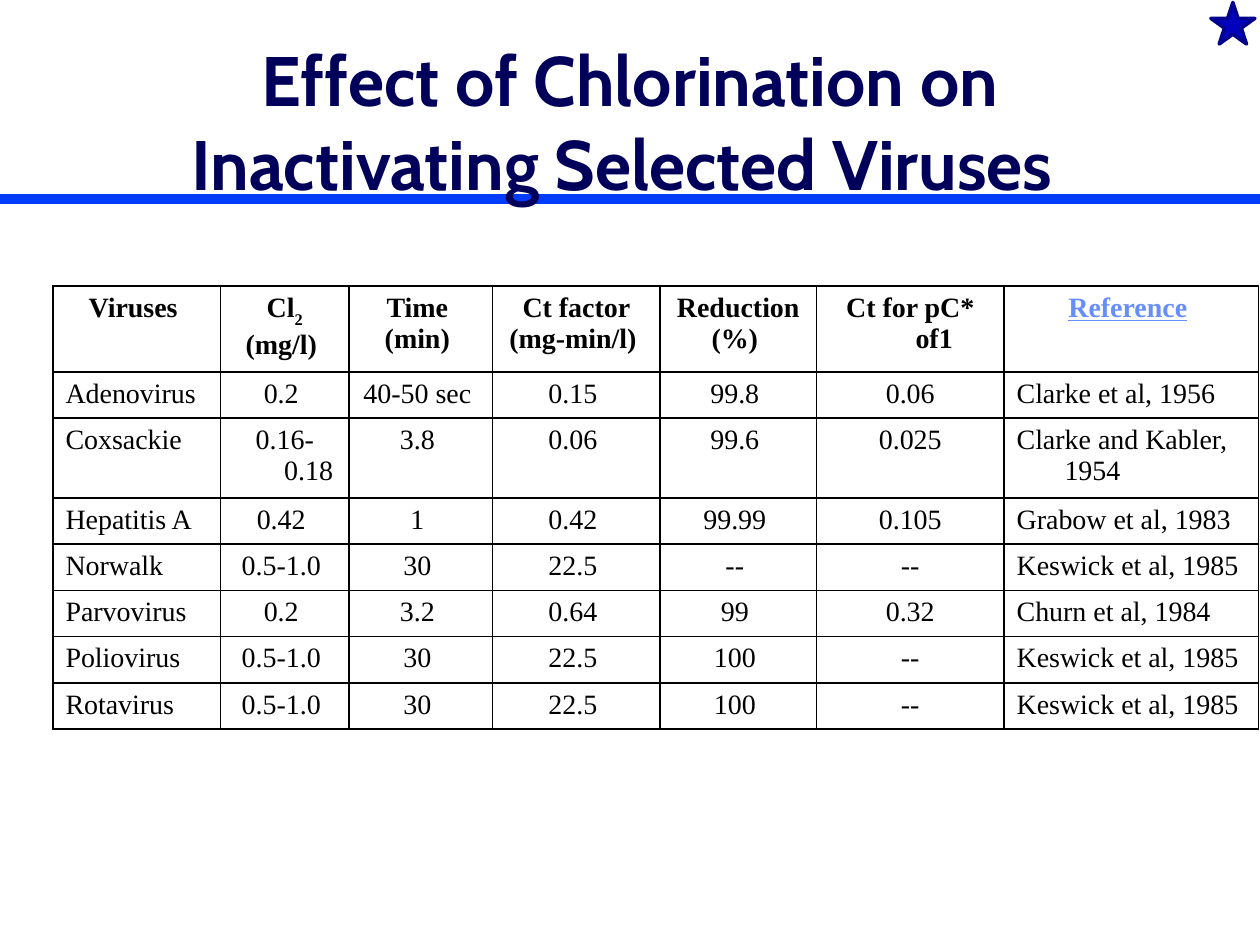
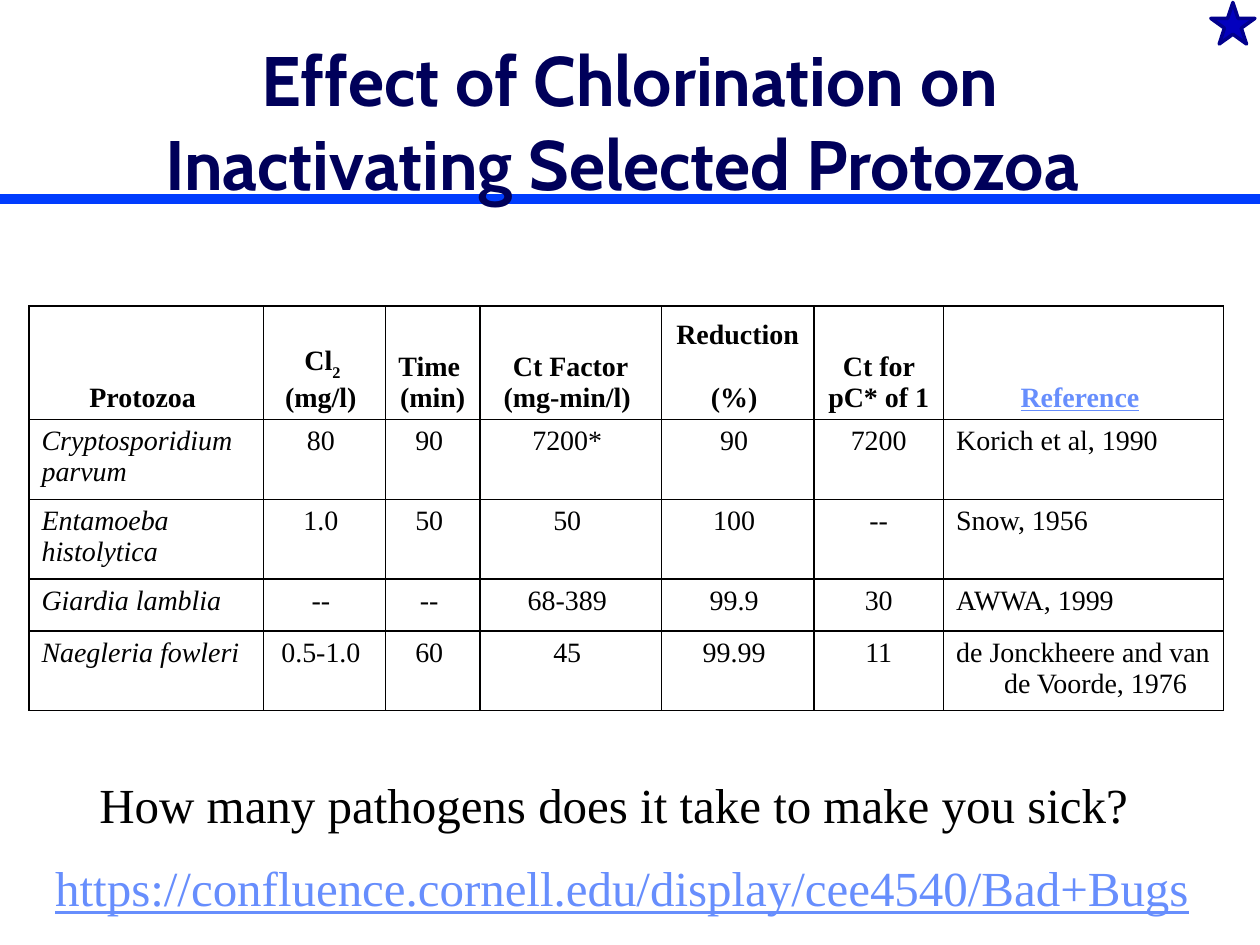
from copy import deepcopy
from dataclasses import dataclass

from lxml import etree
from pptx import Presentation
from pptx.dml.color import RGBColor
from pptx.enum.shapes import MSO_CONNECTOR, MSO_SHAPE
from pptx.enum.text import MSO_ANCHOR, PP_ALIGN
from pptx.oxml.ns import qn
from pptx.util import Emu, Inches, Pt

STAR = MSO_SHAPE.STAR_5_POINT
LINE = MSO_CONNECTOR.STRAIGHT
LEFT, MID = PP_ALIGN.LEFT, PP_ALIGN.CENTER
TOP, HALF, LOW = MSO_ANCHOR.TOP, MSO_ANCHOR.MIDDLE, MSO_ANCHOR.BOTTOM

COLS, ROWS = 100, 75
UNIT = Inches(0.1)
SERIF, SANS = "Times New Roman", "Cabin"
INK, EDGE, PAPER = "000000", "010000", "FFFFFF"
NAVY, BAND, LINK = "00005A", "003CFE", "678EFD"
GEM, RIM = "0300BE", "02008D"


@dataclass(frozen=True)
class Box:
    x: float
    y: float
    w: float
    h: float


@dataclass(frozen=True)
class Face:
    size: float
    font: str = SERIF
    tint: str = INK
    bold: bool = False
    slant: bool = False
    under: bool = False


@dataclass(frozen=True)
class Bit:
    text: str
    face: Face
    drop: bool = False


@dataclass(frozen=True)
class Note:
    box: Box
    bit: Bit


@dataclass(frozen=True)
class Grid:
    x: float
    y: float
    wide: list[float]
    high: list[float]
    head: list[list[Bit]]
    hang: set[int]
    slant: bool
    foot: str
    body: list[str]


@dataclass(frozen=True)
class Page:
    title: str
    grid: Grid
    notes: list[Note]


TITLE = Face(40, SANS, NAVY, bold=True)
HEAD = Face(16, bold=True)
CELL = Face(16)
NAME = Face(16, slant=True)
CITE = Face(16, tint=LINK, bold=True, under=True)
ASK = Face(28)
URL = Face(28, tint=LINK, under=True)
REF = [Bit("Reference", CITE), Bit(" ", CELL)]


def head(text: str) -> list[Bit]:
    return [Bit(text, HEAD)]


PAGES = [
    Page(
        "Effect of Chlorination on Inactivating Selected Viruses ",
        Grid(
            4.2, 22.7,
            [13.3, 10.2, 11.4, 13.3, 12.4, 14.9, 20.2],
            [6.4, 3.5, 5.9, 3.5, 3.5, 3.5, 3.5, 3.5],
            [
                head("Viruses "),
                [Bit("Cl", HEAD), Bit("2", HEAD, True), Bit(" (mg/l) ", HEAD)],
                head("Time \n(min) "),
                head("Ct factor\n(mg-min/l) "),
                head("Reduction (%) "),
                head("Ct for pC* of1"),
                REF,
            ],
            {0, 5, 6}, False, TOP,
            [
                "Adenovirus|0.2|40-50 sec|0.15|99.8|0.06|Clarke et al, 1956",
                "Coxsackie|0.16-0.18|3.8|0.06|99.6|0.025|Clarke and Kabler, 1954",
                "Hepatitis A|0.42|1|0.42|99.99|0.105|Grabow et al, 1983",
                "Norwalk|0.5-1.0|30|22.5|--|--|Keswick et al, 1985",
                "Parvovirus|0.2|3.2|0.64|99|0.32|Churn et al, 1984",
                "Poliovirus|0.5-1.0|30|22.5|100|--|Keswick et al, 1985",
                "Rotavirus|0.5-1.0|30|22.5|100|--|Keswick et al, 1985",
            ],
        ),
        [],
    ),
    Page(
        "Effect of Chlorination on Inactivating Selected Protozoa ",
        Grid(
            2.3, 24.3,
            [18.6, 9.7, 7.5, 14.4, 12.1, 10.3, 22.2],
            [8.4, 5.9, 5.9, 4.1, 5.9],
            [
                head("Protozoa "),
                [Bit("Cl", HEAD), Bit("2 \n", HEAD, True), Bit("(mg/l) ", HEAD)],
                head("Time \n(min) "),
                head("Ct Factor\n(mg-min/l) "),
                head("Reduction \n(%) "),
                head("Ct for pC* of 1"),
                REF,
            ],
            {0}, True, LOW,
            [
                "Cryptosporidium parvum|80|90|7200*|90|7200|Korich et al, 1990",
                "Entamoeba histolytica|1.0|50|50|100|--|Snow, 1956",
                "Giardia lamblia|--|--|68-389|99.9|30|AWWA, 1999",
                "Naegleria fowleri|0.5-1.0|60|45|99.99|11|de Jonckheere and van de Voorde, 1976",
            ],
        ),
        [
            Note(Box(6.9, 61, 84.5, 5.7),
                 Bit("How many pathogens does it take to make you sick?", ASK)),
            Note(Box(3.4, 67.6, 95.3, 5.7),
                 Bit("https://confluence.cornell.edu/display/cee4540/Bad+Bugs", URL)),
        ],
    ),
]


def span(n: float) -> Emu:
    return Emu(round(n * UNIT))


def place(box: Box) -> tuple[Emu, Emu, Emu, Emu]:
    return span(box.x), span(box.y), span(box.w), span(box.h)


def hue(code: str) -> RGBColor:
    return RGBColor.from_string(code)


def add_bit(para, bit: Bit) -> None:
    for i, part in enumerate(bit.text.split("\n")):
        if i:
            para.add_line_break()
            para._p.findall(qn("a:br"))[-1].append(deepcopy(run._r.rPr))
        if not part:
            continue
        run = para.add_run()
        run.text = part
        font, face = run.font, bit.face
        font.size, font.name = Pt(face.size), face.font
        font.bold, font.italic, font.underline = face.bold, face.slant, face.under
        font.color.rgb = hue(face.tint)
        if bit.drop:
            run._r.get_or_add_rPr().set("baseline", "-30000")


def add_text(slide, box: Box, bit: Bit, align=LEFT, anchor=TOP) -> None:
    frame = slide.shapes.add_textbox(*place(box)).text_frame
    frame.word_wrap = True
    frame.vertical_anchor = anchor
    para = frame.paragraphs[0]
    para.alignment = align
    add_bit(para, bit)


def add_edges(cell) -> None:
    props = cell._tc.get_or_add_tcPr()
    for i, side in enumerate(("lnL", "lnR", "lnT", "lnB")):
        line = etree.Element(qn(f"a:{side}"), w=str(Pt(1)))
        fill = etree.SubElement(line, qn("a:solidFill"))
        etree.SubElement(fill, qn("a:srgbClr"), val=EDGE)
        props.insert(i, line)


def fill_cell(cell, bits: list[Bit], align, hang: bool, anchor) -> None:
    cell.fill.solid()
    cell.fill.fore_color.rgb = hue(PAPER)
    cell.vertical_anchor = anchor
    add_edges(cell)
    para = cell.text_frame.paragraphs[0]
    para.alignment = align
    if hang:
        props = para._p.get_or_add_pPr()
        props.set("marL", str(span(3.8)))
        props.set("indent", str(-span(3.8)))
    for bit in bits:
        add_bit(para, bit)


def add_grid(slide, grid: Grid) -> None:
    box = Box(grid.x, grid.y, sum(grid.wide), sum(grid.high))
    table = slide.shapes.add_table(
        len(grid.high), len(grid.wide), *place(box)).table
    table.first_row = table.horz_banding = False
    for col, wide in zip(table.columns, grid.wide):
        col.width = span(wide)
    for row, high in zip(table.rows, grid.high):
        row.height = span(high)
    for c, bits in enumerate(grid.head):
        fill_cell(table.cell(0, c), bits, MID, c in grid.hang, grid.foot)
    last = len(grid.wide) - 1
    for r, line in enumerate(grid.body, 1):
        for c, text in enumerate(line.split("|")):
            name = grid.slant and c == 0
            tail = " " if 0 < c < last - 1 else ""
            bit = Bit(text + tail, NAME if name else CELL)
            align = MID if 0 < c < last else LEFT
            fill_cell(table.cell(r, c), [bit], align, not name, TOP)


def add_band(slide) -> None:
    y = span(15.8)
    band = slide.shapes.add_connector(LINE, 0, y, span(COLS), y)
    band.line.color.rgb = hue(BAND)
    band.line.width = Pt(6)
    etree.SubElement(band._element.spPr, qn("a:effectLst"))


def add_star(slide) -> None:
    star = slide.shapes.add_shape(STAR, *place(Box(96.1, 0.2, 3.5, 3.3)))
    star.shadow.inherit = False
    star.fill.solid()
    star.fill.fore_color.rgb = hue(GEM)
    star.line.color.rgb = hue(RIM)
    star.line.width = Pt(2)


def add_page(deck, page: Page) -> None:
    slide = deck.slides.add_slide(deck.slide_layouts[6])
    add_band(slide)
    add_text(slide, Box(7.5, 3.3, 85, 12.5), Bit(page.title, TITLE), MID, HALF)
    add_grid(slide, page.grid)
    for note in page.notes:
        add_text(slide, note.box, note.bit)
    add_star(slide)


def main() -> None:
    deck = Presentation()
    deck.slide_width, deck.slide_height = span(COLS), span(ROWS)
    for page in PAGES:
        add_page(deck, page)
    deck.save("out.pptx")


if __name__ == "__main__":
    main()
